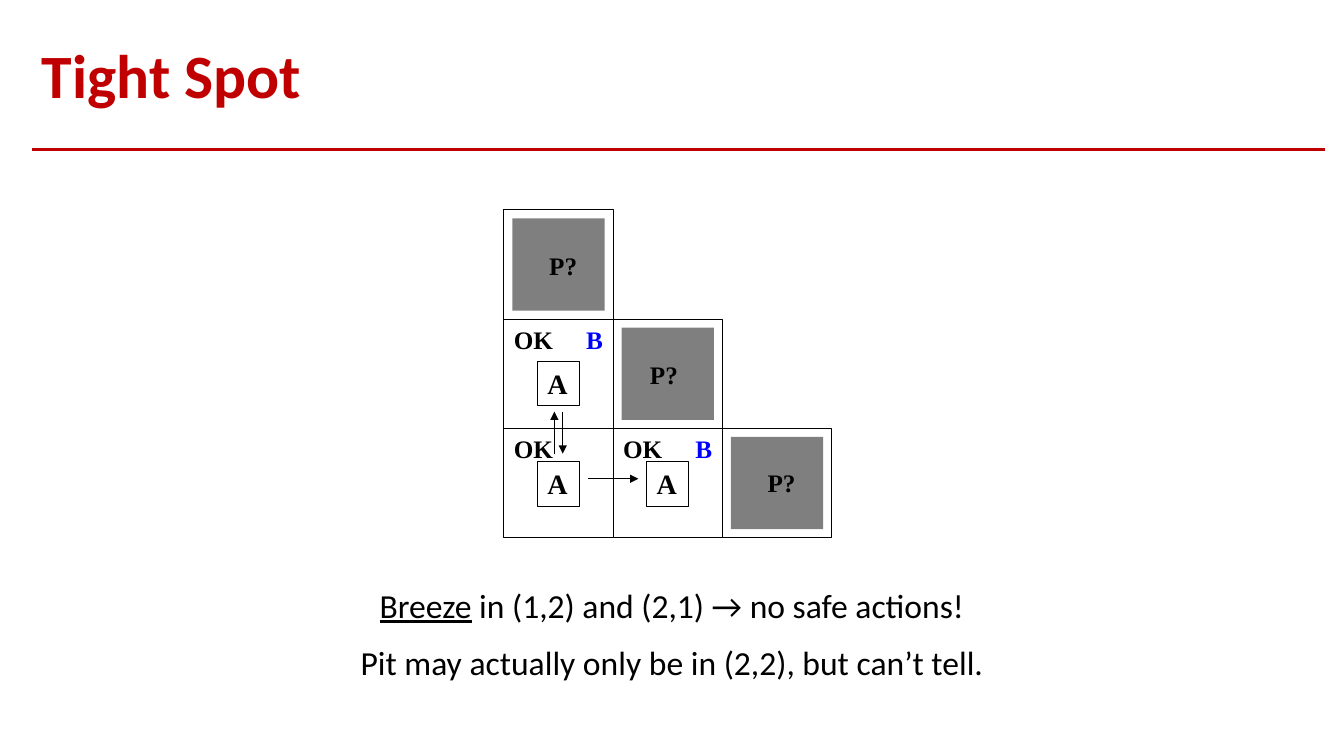
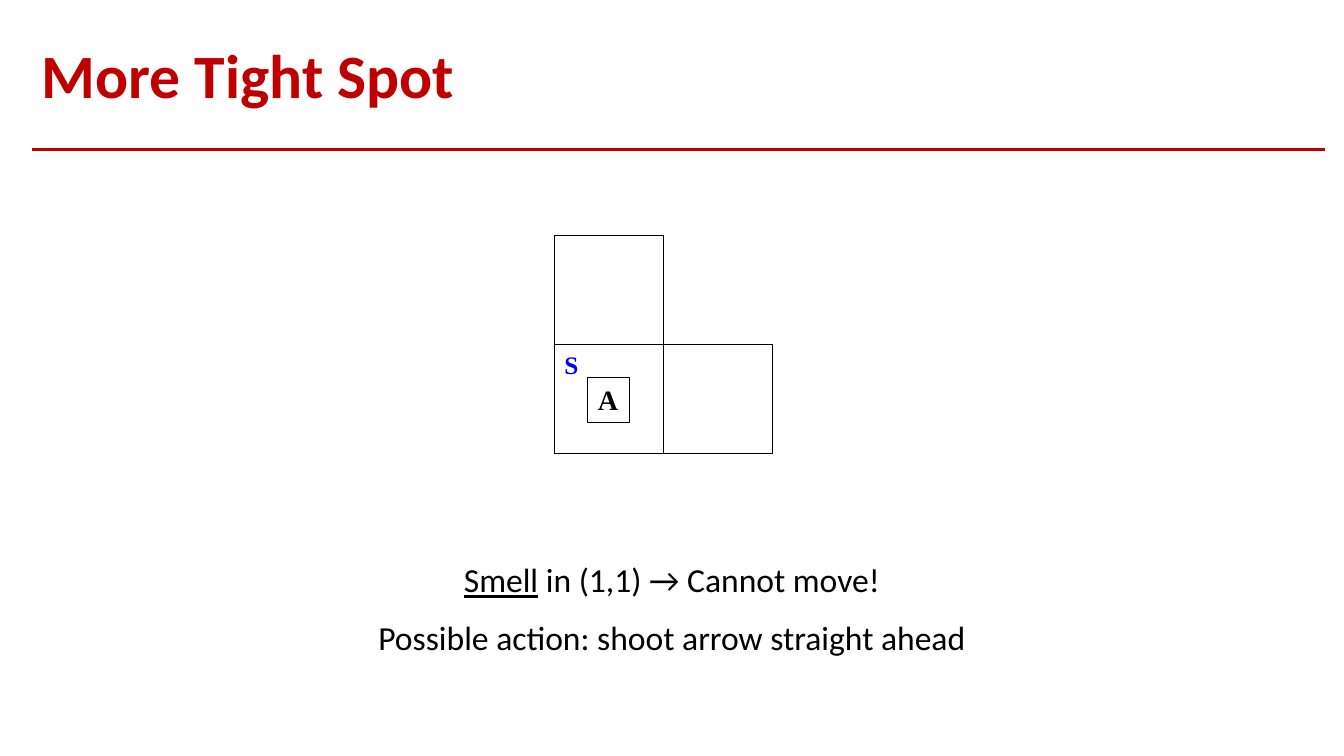
from lxml import etree
from pptx import Presentation
from pptx import util as u
from pptx.dml.color import RGBColor
from pptx.enum import shapes, text
from pptx.oxml.ns import qn

PX = 7620  # EMU in one px, 120 px to the inch
SLIDE_SIZE = 1600, 900
RED, BLACK, WHITE, BLUE = "C00000", "000000", "FFFFFF", "0000FF"

TITLE = {"name": "Calibri", "size": u.Pt(44), "bold": True}
CAPTION = {"name": "Calibri", "size": u.Pt(24)}
LABEL = {"name": "Times New Roman", "size": u.Pt(18), "bold": True}
AGENT = {**LABEL, "size": u.Pt(20)}

CELL = 130
PIT_INSET = 10


def px(*lengths):
    return [u.Emu(length * PX) for length in lengths]


def set_color(color_format, color):
    color_format.rgb = RGBColor.from_string(color)


def set_values(target, values):
    for name, value in values.items():
        setattr(target, name, value)


def add_run(paragraph, content, style, color=BLACK, **extra):
    run = paragraph.add_run()
    run.text = content
    set_values(run.font, {**style, **extra})
    set_color(run.font.color, color)


def add_text_box(slide, left, top, width, height, anchor=text.MSO_ANCHOR.TOP):
    frame = slide.shapes.add_textbox(*px(left, top, width, height)).text_frame
    set_values(frame, {"word_wrap": True, "vertical_anchor": anchor})
    return frame


def add_label(slide, content, left, top, width, color=BLACK):
    frame = add_text_box(slide, left, top, width, 48)
    add_run(frame.paragraphs[0], content, LABEL, color)


def add_square(slide, left, top, width, height, fill=None, outlined=True):
    square = slide.shapes.add_shape(
        shapes.MSO_SHAPE.RECTANGLE, *px(left, top, width, height))
    square.shadow.inherit = False
    if fill:
        square.fill.solid()
        set_color(square.fill.fore_color, fill)
    else:
        square.fill.background()
    if outlined:
        set_color(square.line.color, BLACK)
        square.line.width = u.Pt(0.75)
    else:
        square.line.fill.background()
    return square


def add_line(slide, start, end, color=BLACK, weight=0.75, arrow=False):
    line = slide.shapes.add_connector(
        shapes.MSO_CONNECTOR.STRAIGHT, *px(*start, *end))
    set_color(line.line.color, color)
    line.line.width = u.Pt(weight)
    if arrow:
        etree.SubElement(line.line._get_or_add_ln(), qn("a:tailEnd"), type="triangle")
    etree.SubElement(line._element.spPr, qn("a:effectLst"))


def cell_corner(origin, position):
    """Top left of a (column, row) cell; origin is the grid's bottom left."""
    column, row = position
    return origin[0] + (column - 1) * CELL, origin[1] - row * CELL


def add_cells(slide, origin, positions):
    for position in positions:
        add_square(slide, *cell_corner(origin, position), CELL, CELL, WHITE)


def add_pit(slide, origin, position, label_offset):
    left, top = cell_corner(origin, position)
    side = CELL - 2 * PIT_INSET
    pit = add_square(slide, left + PIT_INSET, top + PIT_INSET, side, side,
                     BLACK, outlined=False)
    color = pit._element.spPr.find(f"{qn('a:solidFill')}/{qn('a:srgbClr')}")
    etree.SubElement(color, qn("a:alpha"), val="50000")
    add_label(slide, "P?", left + label_offset[0], top + label_offset[1], 58)


def add_agent(slide, origin, position, drop=40):
    left, top = cell_corner(origin, position)
    agent = add_square(slide, left + 40, top + drop, 50, 53)
    set_values(agent.text_frame,
               {"word_wrap": True, "vertical_anchor": text.MSO_ANCHOR.TOP})
    paragraph = agent.text_frame.paragraphs[0]
    paragraph.alignment = text.PP_ALIGN.LEFT
    add_run(paragraph, "A", AGENT)


def add_caption(slide, top, percept, conclusion, remark):
    """Two centred lines, the first opening with the underlined percept."""
    frame = add_text_box(slide, 410, top, 780, 133)
    first, second = frame.paragraphs[0], frame.add_paragraph()
    add_run(first, percept, CAPTION, underline=True)
    add_run(first, conclusion, CAPTION)
    add_run(second, remark, CAPTION)
    second.space_before = u.Pt(12)
    for paragraph in (first, second):
        paragraph.alignment = text.PP_ALIGN.CENTER


def add_titled_slide(presentation, title):
    slide = presentation.slides.add_slide(presentation.slide_layouts[6])
    add_line(slide, (38, 178), (1577, 178), RED, 2.5)
    frame = add_text_box(slide, 38, 34, 1539, 120, text.MSO_ANCHOR.MIDDLE)
    frame.paragraphs[0].line_spacing = 0.9
    add_run(frame.paragraphs[0], title, TITLE, RED)
    return slide


def build_tight_spot(presentation):
    slide = add_titled_slide(presentation, "Tight Spot")
    origin = 600, 640
    pits = {(1, 3): (42, 42), (2, 2): (32, 42), (3, 1): (42, 40)}
    breezy = [(1, 2), (2, 1)]
    safe = [(1, 1), *breezy]
    add_cells(slide, origin, [*pits, *safe])
    for position, label_offset in pits.items():
        add_pit(slide, origin, position, label_offset)
    for position in safe:
        left, top = cell_corner(origin, position)
        add_label(slide, "OK", left, top, 80)
        add_agent(slide, origin, position, drop=50 if position == (1, 2) else 40)
        if position in breezy:
            add_label(slide, "B", left + 86, top, 44, BLUE)
    for start, end in [((700, 570), (760, 570)),
                       ((660, 540), (660, 490)),
                       ((670, 490), (670, 540))]:
        add_line(slide, start, end, arrow=True)
    add_caption(slide, 690, "Breeze", " in (1,2) and (2,1) → no safe actions!",
                "Pit may actually only be in (2,2), but can’t tell.")


def build_more_tight_spot(presentation):
    slide = add_titled_slide(presentation, "More Tight Spot")
    origin = 660, 540
    start = 1, 1
    add_cells(slide, origin, [(1, 2), start, (2, 1)])
    add_agent(slide, origin, start)
    add_label(slide, "S", *cell_corner(origin, start), 41, BLUE)
    add_caption(slide, 660, "Smell", " in (1,1) → Cannot move!",
                "Possible action: shoot arrow straight ahead")


def main():
    presentation = Presentation()
    presentation.slide_width, presentation.slide_height = px(*SLIDE_SIZE)
    build_tight_spot(presentation)
    build_more_tight_spot(presentation)
    presentation.save("out.pptx")


if __name__ == "__main__":
    main()
